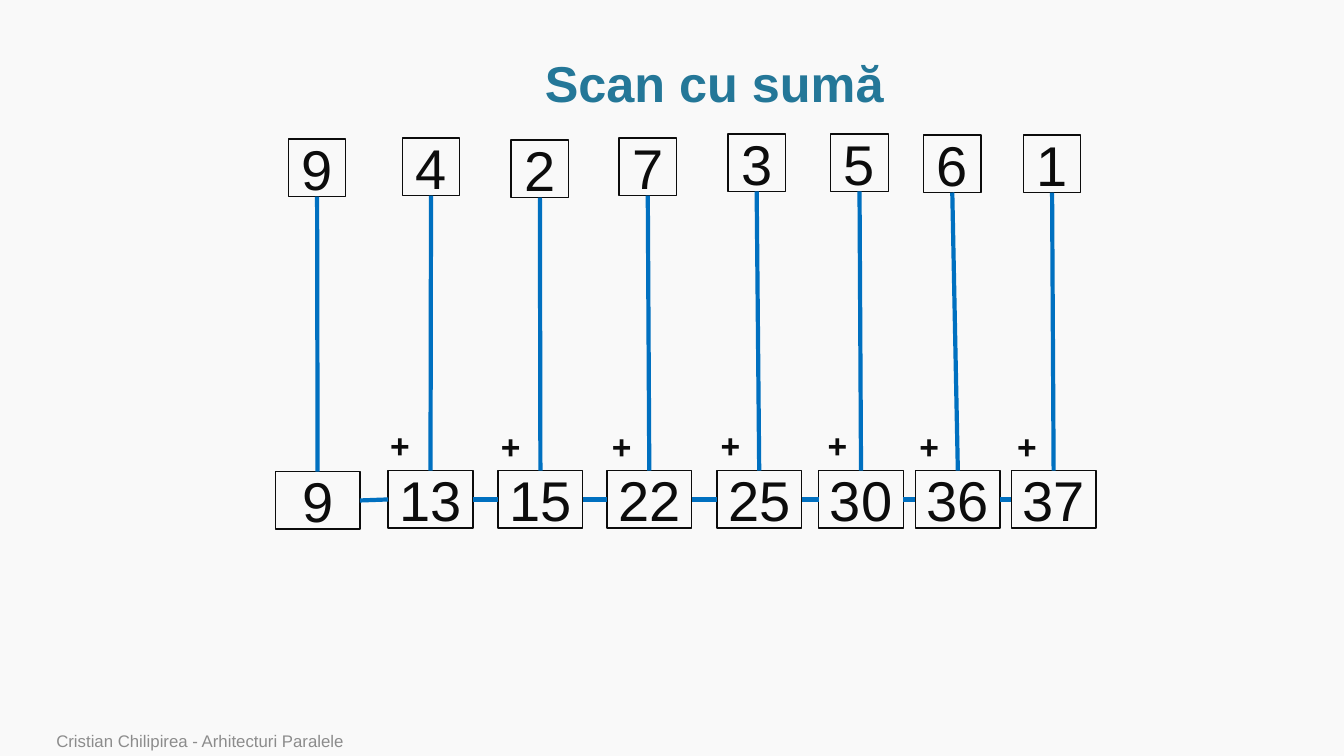
from dataclasses import dataclass
from itertools import accumulate, pairwise

from lxml.etree import SubElement
from pptx import Presentation
from pptx.dml.color import RGBColor
from pptx.enum.shapes import MSO_CONNECTOR, MSO_SHAPE
from pptx.enum.text import MSO_ANCHOR, MSO_AUTO_SIZE, PP_ALIGN
from pptx.oxml.ns import qn
from pptx.shapes.autoshape import Shape
from pptx.slide import Slide
from pptx.text.text import TextFrame
from pptx.util import Inches, Pt


@dataclass(frozen=True)
class Theme:
    font: str = "Arial"
    background: RGBColor = RGBColor(0xF9, 0xF9, 0xF9)
    title: RGBColor = RGBColor(0x24, 0x77, 0x98)
    ink: RGBColor = RGBColor(0x0C, 0x0C, 0x0C)
    link: RGBColor = RGBColor(0x00, 0x70, 0xC0)
    footer: RGBColor = RGBColor(0x8C, 0x8C, 0x8C)
    title_size: int = 36
    number_size: int = 40
    plus_size: int = 24
    footer_size: int = 12


@dataclass(frozen=True)
class Column:
    value: int
    input_left: float
    input_top: float
    sum_left: float
    sum_top: float = 4.67
    plus_left: float | None = None
    plus_top: float = 4.18


THEME = Theme()
BOX_HEIGHT = 0.57
INPUT_WIDTH = 0.57
SUM_WIDTH = 0.84
LEFT_SITE, BOTTOM_SITE, TOP_SITE, RIGHT_SITE = 1, 2, 0, 3

COLUMNS = [
    Column(9, 2.86, 1.38, 2.73, sum_top=4.68),
    Column(4, 3.99, 1.37, 3.85, plus_left=3.77, plus_top=4.17),
    Column(2, 5.07, 1.39, 4.94, plus_left=4.87),
    Column(7, 6.14, 1.37, 6.02, plus_left=5.97),
    Column(3, 7.22, 1.33, 7.11, plus_left=7.05, plus_top=4.17),
    Column(5, 8.24, 1.33, 8.12, plus_left=8.11, plus_top=4.17),
    Column(6, 9.16, 1.34, 9.08, plus_left=9.02),
    Column(1, 10.15, 1.34, 10.03, plus_left=9.99),
]


def write(tf: TextFrame, text: str, *, size: int, color: RGBColor,
          bold: bool = False, align: PP_ALIGN = PP_ALIGN.LEFT,
          anchor: MSO_ANCHOR = MSO_ANCHOR.TOP, wrap: bool = True,
          spacing: float = 1.0) -> None:
    tf.auto_size = MSO_AUTO_SIZE.NONE
    tf.word_wrap = wrap
    tf.vertical_anchor = anchor
    p = tf.paragraphs[0]
    p.alignment = align
    p.line_spacing = spacing
    r = p.add_run()
    r.text = text
    r.font.name = THEME.font
    r.font.size = Pt(size)
    r.font.bold = bold
    r.font.color.rgb = color


def add_number(s: Slide, value: int, left: float, top: float, width: float) -> Shape:
    sp = s.shapes.add_shape(MSO_SHAPE.RECTANGLE, Inches(left), Inches(top),
                            Inches(width), Inches(BOX_HEIGHT))
    sp.shadow.inherit = False
    sp.fill.background()
    sp.line.color.rgb = THEME.ink
    sp.line.width = Pt(1)
    write(sp.text_frame, str(value), size=THEME.number_size, color=THEME.ink,
          align=PP_ALIGN.CENTER, anchor=MSO_ANCHOR.MIDDLE)
    return sp


def add_link(s: Slide, start: Shape, start_site: int, end: Shape, end_site: int) -> None:
    cxn = s.shapes.add_connector(MSO_CONNECTOR.STRAIGHT, 0, 0, 0, 0)
    cxn.begin_connect(start, start_site)
    cxn.end_connect(end, end_site)
    cxn.line.color.rgb = THEME.link
    cxn.line.width = Pt(3)
    SubElement(cxn._element.spPr, qn("a:effectLst"))


def add_text(s: Slide, left: float, top: float, width: float, height: float) -> TextFrame:
    return s.shapes.add_textbox(Inches(left), Inches(top),
                                Inches(width), Inches(height)).text_frame


def main() -> None:
    prs = Presentation()
    prs.slide_width, prs.slide_height = Inches(13.33), Inches(7.5)
    s = prs.slides.add_slide(prs.slide_layouts[5])
    s.background.fill.solid()
    s.background.fill.fore_color.rgb = THEME.background

    # Title
    title = s.shapes.title
    title.left, title.top = Inches(1.14), Inches(0.51)
    title.width, title.height = Inches(11.89), Inches(0.69)
    write(title.text_frame, "Scan cu sumă", size=THEME.title_size, color=THEME.title,
          bold=True, align=PP_ALIGN.CENTER, anchor=MSO_ANCHOR.MIDDLE, spacing=0.9)

    # Input values and their running sums
    totals = accumulate(c.value for c in COLUMNS)
    inputs = [add_number(s, c.value, c.input_left, c.input_top, INPUT_WIDTH)
              for c in COLUMNS]
    sums = [add_number(s, total, c.sum_left, c.sum_top, SUM_WIDTH)
            for c, total in zip(COLUMNS, totals)]

    # Links down each column and along the sums
    for value_box, sum_box in zip(inputs, sums):
        add_link(s, value_box, BOTTOM_SITE, sum_box, TOP_SITE)
    for previous, following in pairwise(sums):
        add_link(s, previous, RIGHT_SITE, following, LEFT_SITE)

    # Plus signs
    for c in COLUMNS:
        if c.plus_left is not None:
            write(add_text(s, c.plus_left, c.plus_top, 0.4, 0.5), "+",
                  size=THEME.plus_size, color=THEME.ink, bold=True, wrap=False)

    # Footer
    write(add_text(s, 0.46, 7.22, 9.82, 0.28), "Cristian Chilipirea - Arhitecturi Paralele",
          size=THEME.footer_size, color=THEME.footer, anchor=MSO_ANCHOR.BOTTOM)

    prs.save("out.pptx")


if __name__ == "__main__":
    main()
